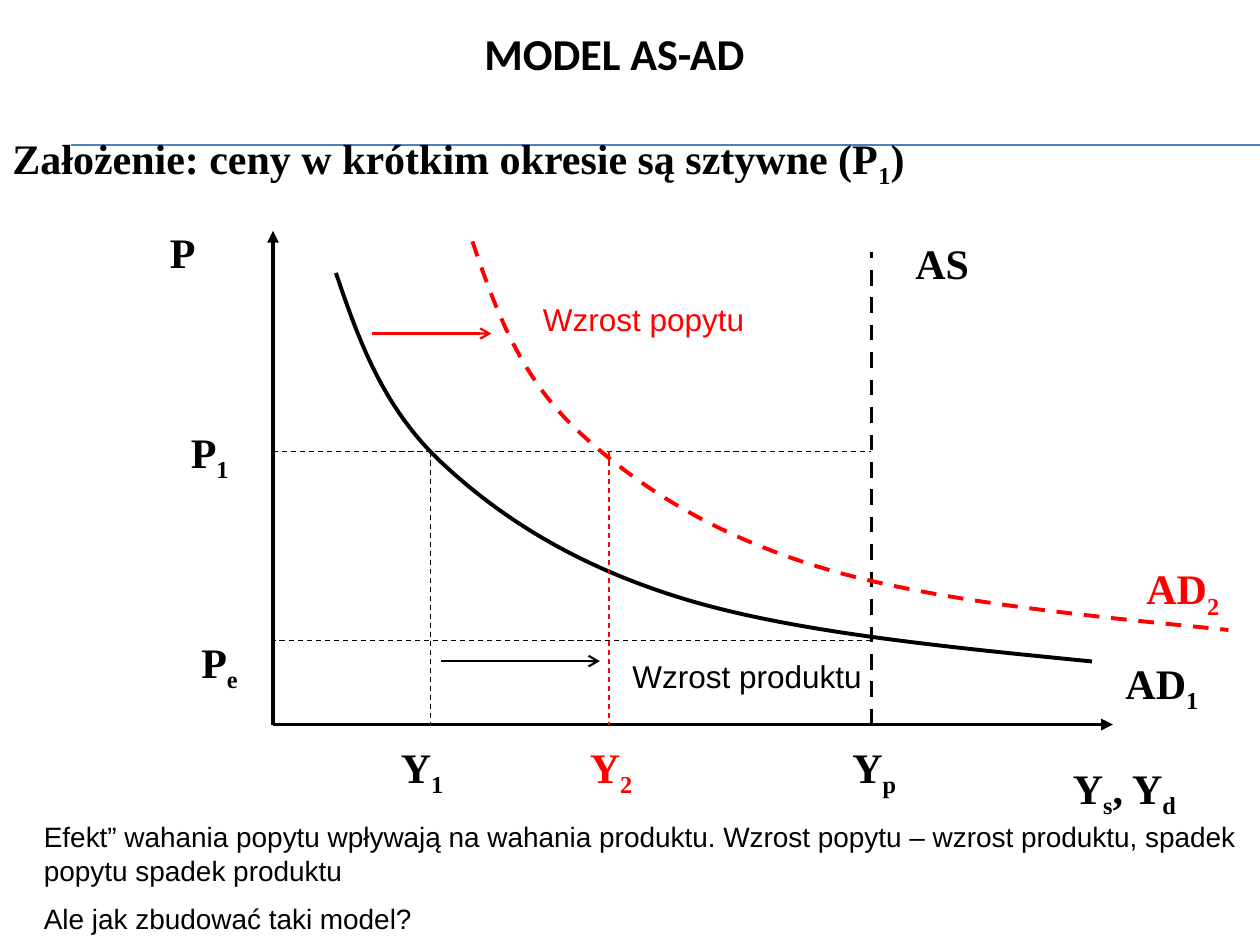
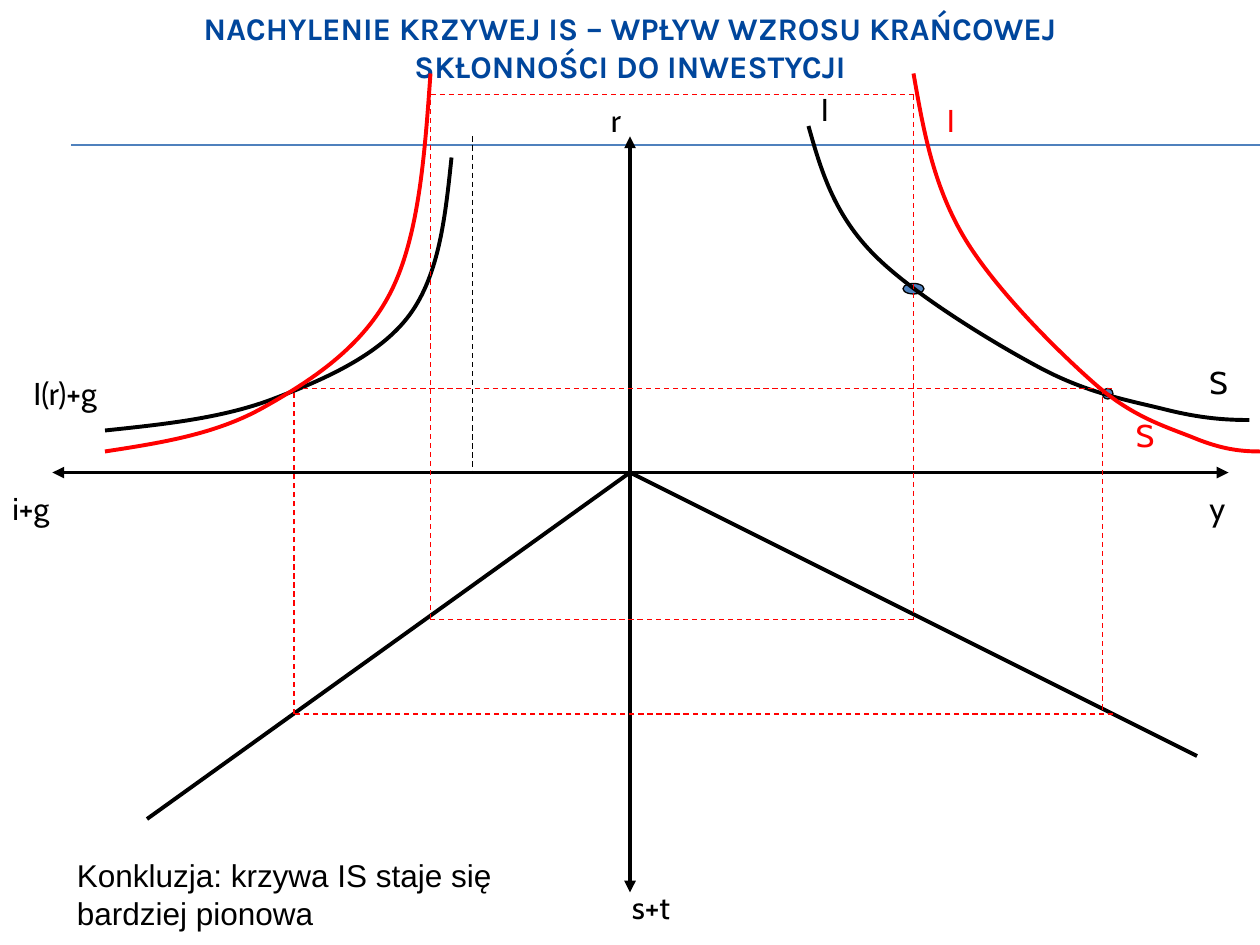
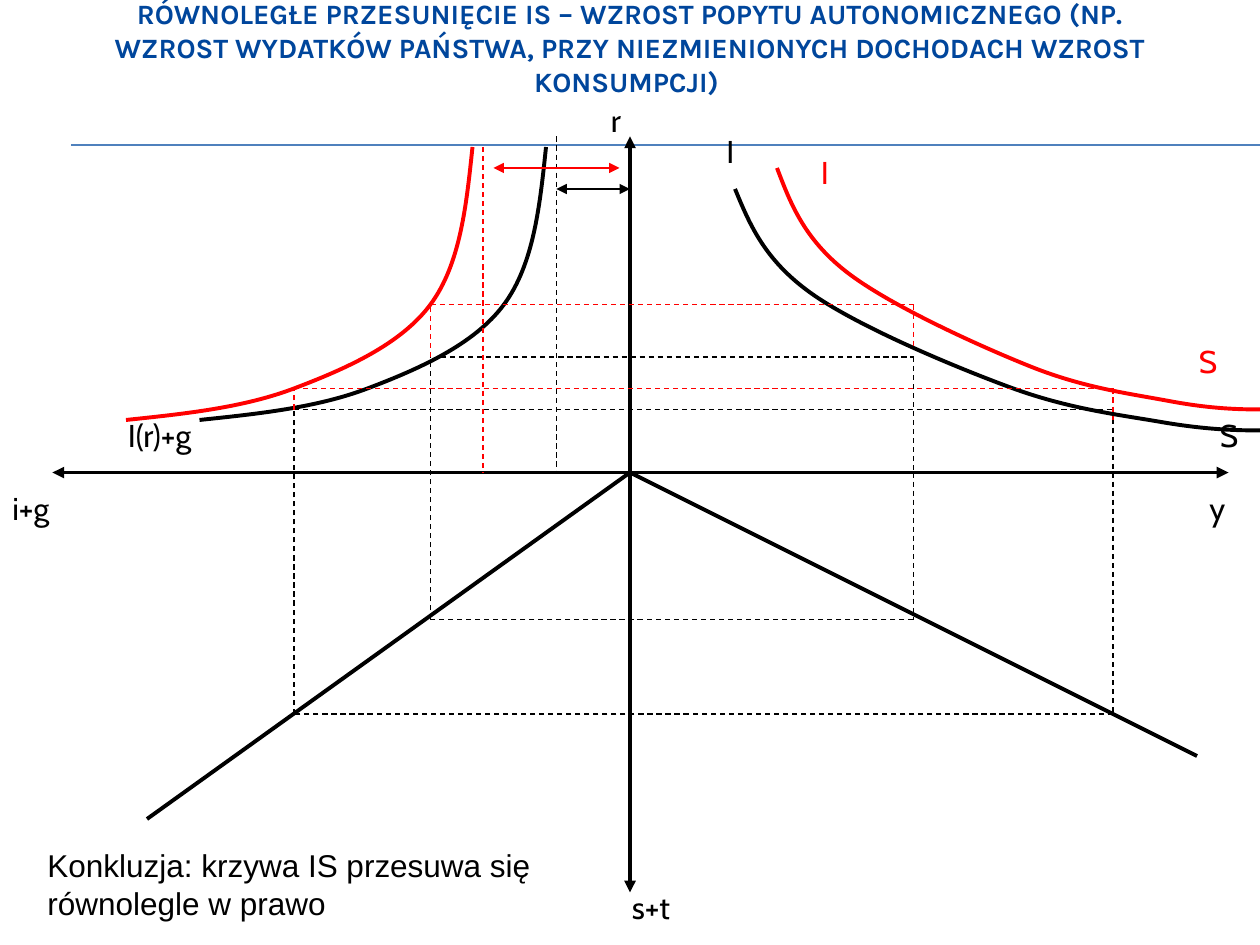
from itertools import pairwise

from lxml import etree
from pptx import Presentation
from pptx.dml.color import RGBColor
from pptx.enum import dml, shapes, text
from pptx.oxml.ns import qn
from pptx.util import Pt

BLACK = RGBColor(0, 0, 0)
RED = RGBColor(0xFF, 0, 0)
BLUE = RGBColor(0x4F, 0x81, 0xBD)
NAVY = RGBColor(0, 0x46, 0x9C)

THIN, MID, THICK = 0.75, 1.25, 2.25
SERIF, SANS, HAND = "Times New Roman", "Arial", "Cabin"

DEMAND = [(0, 0), (13, 38.5), (27, 77), (60, 108), (93, 139), (136, 167),
          (198, 186), (260, 205), (346, 213.5), (432, 222)]
INVEST = [(198, 0), (194.5, 33.5), (191, 67), (174, 90), (157, 113), (125, 127),
          (96, 138), (67, 149), (33.5, 152.5), (0, 156)]
BALANCE = [(0, 0), (7, 24.5), (14, 49), (36, 72), (58, 95), (104, 123),
           (132, 138), (160, 153), (184, 157), (204, 162), (224, 167),
           (238, 168), (252, 168)]


class Deck:
    def __init__(self):
        self.show = Presentation()
        self.show.slide_width, self.show.slide_height = Pt(720), Pt(540)
        self.slide = None

    def page(self, title, box, size, font, color):
        self.slide = self.show.slides.add_slide(self.show.slide_layouts[5])
        for y in (82.75, 83, 83.25):
            self.line((40.5, y), (720, y), BLUE)
        head = self.slide.shapes.title
        head.left, head.top, head.width, head.height = map(Pt, box)
        frame = head.text_frame
        frame.auto_size = text.MSO_AUTO_SIZE.NONE
        frame.vertical_anchor = text.MSO_ANCHOR.MIDDLE
        para = frame.paragraphs[0]
        para.alignment = text.PP_ALIGN.CENTER
        self.run(para, title, size, font, color, True)

    def run(self, para, words, size, font, color, bold=False):
        run = para.add_run()
        run.text = words
        run.font.size, run.font.name, run.font.bold = Pt(size), font, bold
        run.font.color.rgb = color
        return run

    def label(self, box, paras, size=18, font=HAND, color=BLACK, bold=False):
        frame = self.slide.shapes.add_textbox(*map(Pt, box)).text_frame
        frame.word_wrap = True
        frame.auto_size = text.MSO_AUTO_SIZE.SHAPE_TO_FIT_TEXT
        for i, parts in enumerate(paras):
            para = frame.add_paragraph() if i else frame.paragraphs[0]
            if i:
                para.space_before = Pt(size / 2)
            for n, words in enumerate(parts):
                run = self.run(para, words, size, font, color, bold)
                if n % 2:
                    run._r.get_or_add_rPr().set("baseline", "-25000")

    def mark(self, x, y, w, *parts, color=BLACK):
        self.label((x, y, w, 36), [parts], 24, SERIF, color, True)

    def tag(self, x, y, w, words, color=BLACK):
        self.label((x, y, w, 36), [[words]], color=color)

    def note(self, box, *paras, size=18, color=BLACK):
        self.label(box, [[words] for words in paras], size, SANS, color)

    def pen(self, item, color, width, dash=False):
        item.line.color.rgb = color
        item.line.width = Pt(width)
        if dash:
            item.line.dash_style = dml.MSO_LINE.DASH

    def line(self, start, end, color=BLACK, width=THIN, dash=False,
             head=None, tail=None):
        link = self.slide.shapes.add_connector(
            shapes.MSO_CONNECTOR.STRAIGHT, *map(Pt, start + end))
        self.pen(link, color, width, dash)
        props = link._element.spPr
        edge = props.find(qn("a:ln"))
        for name, kind in (("a:headEnd", head), ("a:tailEnd", tail)):
            if kind:
                etree.SubElement(edge, qn(name)).set("type", kind)
        etree.SubElement(props, qn("a:effectLst"))

    def span(self, start, end, color=BLACK, width=THIN):
        self.line(start, end, color, width, head="triangle", tail="triangle")

    def guide(self, *spots, color=BLACK):
        for start, end in pairwise(spots):
            self.line(start, end, color, dash=True)

    def curve(self, knots, x, y, w, h, color=BLACK, dash=False):
        wide = max(k[0] for k in knots)
        high = max(k[1] for k in knots)
        spots = [(Pt(x + a * w / wide), Pt(y + b * h / high)) for a, b in knots]
        form = self.slide.shapes.build_freeform(*spots[0], scale=1.0)
        form.add_line_segments(spots[1:], close=False)
        arc = form.convert_to_shape()
        self.bend(arc)
        arc.shadow.inherit = False
        arc.fill.background()
        self.pen(arc, color, THICK, dash)

    def bend(self, arc):
        track = next(arc._element.iter(qn("a:path")))
        legs = track.findall(qn("a:lnTo"))
        for i in range(0, len(legs), 3):
            cubic = etree.SubElement(track, qn("a:cubicBezTo"))
            for leg in legs[i:i + 3]:
                cubic.append(leg[0])
                track.remove(leg)

    def dot(self, x, y, w, h):
        dot = self.slide.shapes.add_shape(shapes.MSO_SHAPE.OVAL, *map(Pt, (x, y, w, h)))
        dot.shadow.inherit = False
        dot.fill.solid()
        dot.fill.fore_color.rgb = BLUE
        self.pen(dot, BLACK, THIN)

    def cross(self):
        self.span((360, 78), (360, 510), width=THICK)
        self.span((30, 270), (702, 270), width=THICK)
        for x, y, w, words in ((342, 54, 30, "r"), (684, 276, 36, "y"),
                               (354, 504, 54, "s+t"), (0, 276, 72, "i+g")):
            self.tag(x, y, w, words)
        for end in ((684, 432), (84, 468)):
            self.line((360, 270), end, width=THICK)


def model(deck):
    deck.page("MODEL AS-AD ", (48, 12, 612, 36), 25.2, "Calibri", BLACK)
    deck.mark(0, 72, 708, "Założenie: ceny w krótkim okresie są sztywne (P", "1", ")")
    deck.guide((156, 258), (498, 258))
    deck.guide((498, 366), (156, 366))
    deck.guide((246, 258), (246, 414))
    deck.curve(DEMAND, 192, 156, 432, 222)
    for end in ((156, 132), (636, 414)):
        deck.line((156, 414), end, width=THICK, tail="triangle")
    deck.line((498, 414), (498, 144), width=THICK, dash=True)
    deck.curve(DEMAND, 270, 138, 432, 222, RED, True)
    deck.guide((348, 258), (348, 414), color=RED)

    deck.mark(90, 126, 48, "P")
    deck.mark(102, 240, 42, "P", "1")
    deck.mark(108, 360, 42, "P", "e")
    deck.mark(516, 132, 54, "AS")
    deck.mark(636, 372, 60, "AD", "1")
    deck.mark(648, 318, 72, "AD", "2", color=RED)
    deck.mark(222, 420, 48, "Y", "1")
    deck.mark(330, 420, 66, "Y", "2", color=RED)
    deck.mark(480, 420, 54, "Y", "p")
    deck.mark(606, 432, 114, "Y", "s", ", Y", "d")

    deck.note((18, 465, 702, 75),
              "Efekt” wahania popytu wpływają na wahania produktu. "
              "Wzrost popytu – wzrost produktu, spadek popytu spadek produktu",
              "Ale jak zbudować taki model?", size=16)
    deck.line((212.4, 190.6), (280.8, 190.6), RED, MID, tail="arrow")
    deck.note((303.2, 168, 142, 29), "Wzrost popytu", color=RED)
    deck.line((252, 377.8), (342.8, 377.8), BLACK, MID, tail="arrow")
    deck.note((354.3, 372, 164, 29), "Wzrost produktu")


def slope(deck):
    deck.page("NACHYLENIE KRZYWEJ IS – WPŁYW WZROSU KRAŃCOWEJ "
              "SKŁONNOŚCI DO INWESTYCJI", (54, 0, 612, 54), 18, "Karla", NAVY)
    deck.cross()
    deck.curve(INVEST, 60, 90, 198, 156)
    deck.guide((270, 78), (270, 270))
    deck.dot(630, 222, 6, 6)
    deck.dot(516, 162, 12, 6)
    deck.curve(BALANCE, 462, 72, 252, 168)
    deck.curve(INVEST, 60, 42, 186, 216, RED)
    deck.guide((630, 222), (630, 408), color=RED)
    deck.guide((636, 408), (168, 408), (168, 222), (636, 222), color=RED)
    deck.guide((522, 270), (522, 354), (246, 354), (246, 48), color=RED)
    deck.guide((246, 54), (522, 54), (522, 270), color=RED)
    deck.curve(BALANCE, 522, 42, 198, 216, RED)
    deck.tag(12, 210, 96, "I(r)+g")
    deck.tag(462, 48, 36, "I")
    deck.tag(684, 204, 30, "S")
    deck.tag(534, 54, 30, "I", RED)
    deck.tag(642, 234, 30, "S", RED)
    deck.note((36.8, 485.5, 284, 51), "Konkluzja: krzywa IS staje się bardziej pionowa")


def shift(deck):
    deck.page("RÓWNOLEGŁE PRZESUNIĘCIE IS – WZROST POPYTU AUTONOMICZNEGO "
              "(NP. WZROST WYDATKÓW PAŃSTWA, PRZY NIEZMIENIONYCH DOCHODACH "
              "WZROST KONSUMPCJI) ", (54, 0, 612, 54), 16, "Karla", NAVY)
    deck.cross()
    deck.curve(INVEST, 114, 84, 198, 156)
    deck.guide((318, 78), (318, 270))
    deck.span((318, 108), (360, 108))
    deck.guide((522, 204), (522, 270), (522, 354), (246, 354), (246, 204))
    deck.guide((252, 204), (522, 204))
    deck.guide((636, 234), (636, 270), (636, 408), (168, 408), (168, 234), (636, 234))
    deck.curve(BALANCE, 420, 108, 300, 138)
    deck.guide((276, 84), (276, 270), color=RED)
    deck.span((282, 96), (354, 96), RED)
    deck.curve(INVEST, 72, 84, 198, 156, RED)
    deck.guide((168, 234), (168, 222), (636, 222), (636, 240), color=RED)
    deck.guide((246, 204), (246, 174), (522, 174), (522, 198), color=RED)
    deck.curve(BALANCE, 444, 96, 276, 138, RED)
    deck.tag(66, 234, 84, "I(r)+g")
    deck.tag(408, 72, 36, "I")
    deck.tag(690, 234, 30, "S")
    deck.tag(462, 84, 24, "I", RED)
    deck.tag(678, 192, 30, "S", RED)
    deck.note((20, 479.9, 329, 51), "Konkluzja: krzywa IS przesuwa się równolegle w prawo")


def main():
    deck = Deck()
    model(deck)
    slope(deck)
    shift(deck)
    deck.show.save("out.pptx")


if __name__ == "__main__":
    main()
